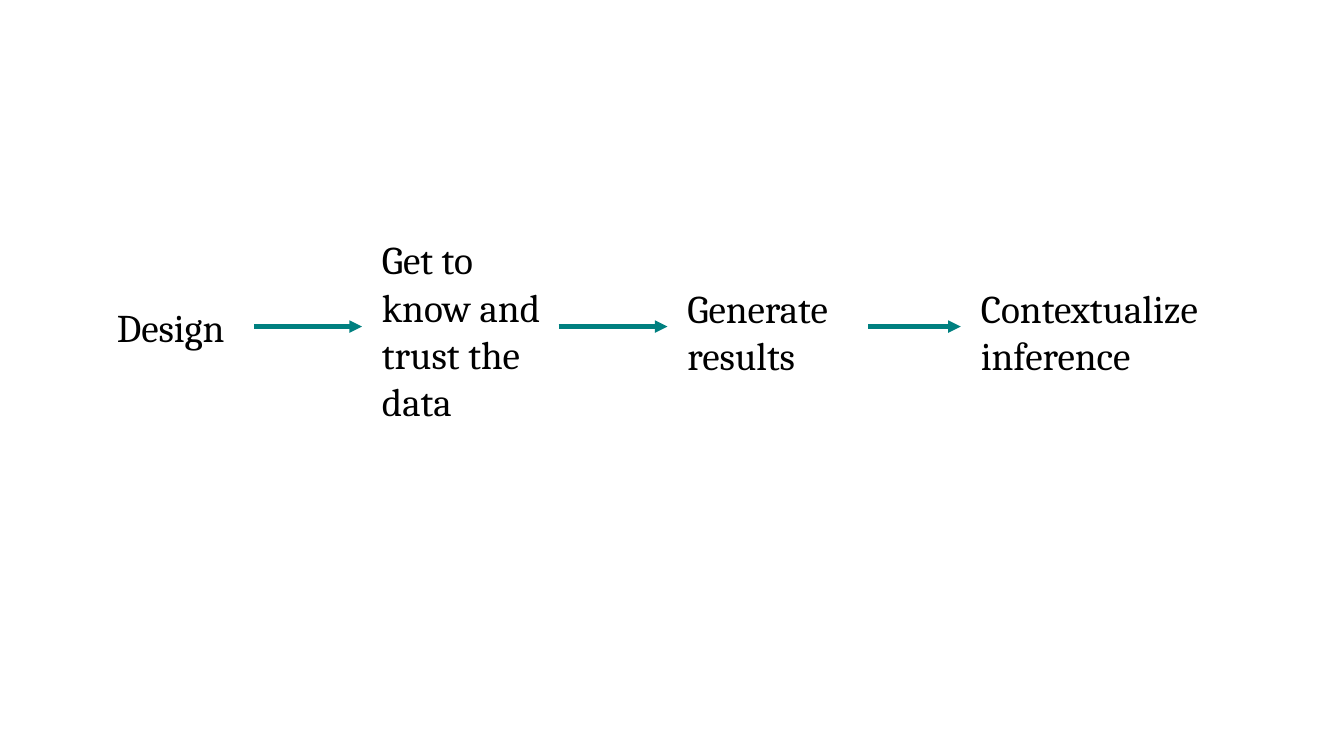
from lxml.etree import SubElement
from pptx import Presentation
from pptx.dml.color import RGBColor
from pptx.enum.shapes import MSO_CONNECTOR as Connector
from pptx.enum.text import MSO_AUTO_SIZE as AutoSize
from pptx.oxml.ns import qn
from pptx.util import Inches, Pt

COLUMNS, ROWS = 112, 29.3
ARROW_ROW = 9.5
ARROW_GAP = 1

STAGES = [
    ("Design", 0, 6.7, 29.1, 5.7),
    ("Get to know and trust the data", 26.3, 0, 18.4, 29.3),
    ("Generate results", 56.6, 4.8, 27.2, 19.9),
    ("Contextualize inference", 85.7, 4.8, 26.4, 15.1),
]
ARROW_LENGTHS = [10.7, 10.8, 9.2]


def paint(color_format, color):
    color_format.rgb = RGBColor.from_string(color)


def add_stage(shapes, label, left, top, width, height):
    stage = shapes.add_textbox(left, top, width, height)
    frame = stage.text_frame
    frame.word_wrap = True
    frame.auto_size = AutoSize.SHAPE_TO_FIT_TEXT
    frame.text = label
    font = frame.paragraphs[0].font
    font.name, font.size = "Cambria", Pt(28)
    paint(font.color, "000000")


def add_arrow(shapes, start, end, height):
    arrow = shapes.add_connector(Connector.STRAIGHT, start, height, end, height)
    arrow.line.width = Pt(3)
    paint(arrow.line.color, "008080")
    SubElement(arrow.line._get_or_add_ln(), qn("a:tailEnd"), type="triangle")
    SubElement(arrow._element.spPr, qn("a:effectLst"))


def add_workflow(slide, left, top, width, height):
    def x(column):
        return round(left + width * column / COLUMNS)

    def y(row):
        return round(top + height * row / ROWS)

    shapes = slide.shapes.add_group_shape().shapes
    for label, column, row, columns, rows in STAGES:
        add_stage(shapes, label, x(column), y(row),
                  x(columns) - left, y(rows) - top)
    for (_, column, *_), length in zip(STAGES[1:], ARROW_LENGTHS):
        tip = column - ARROW_GAP
        add_arrow(shapes, x(tip - length), x(tip), y(ARROW_ROW))


deck = Presentation()
deck.slide_width, deck.slide_height = Inches(13.33), Inches(7.5)
slide = deck.slides.add_slide(deck.slide_layouts[6])
add_workflow(slide, Inches(1.06), Inches(2.29), Inches(11.2), Inches(2.93))
deck.save("out.pptx")
